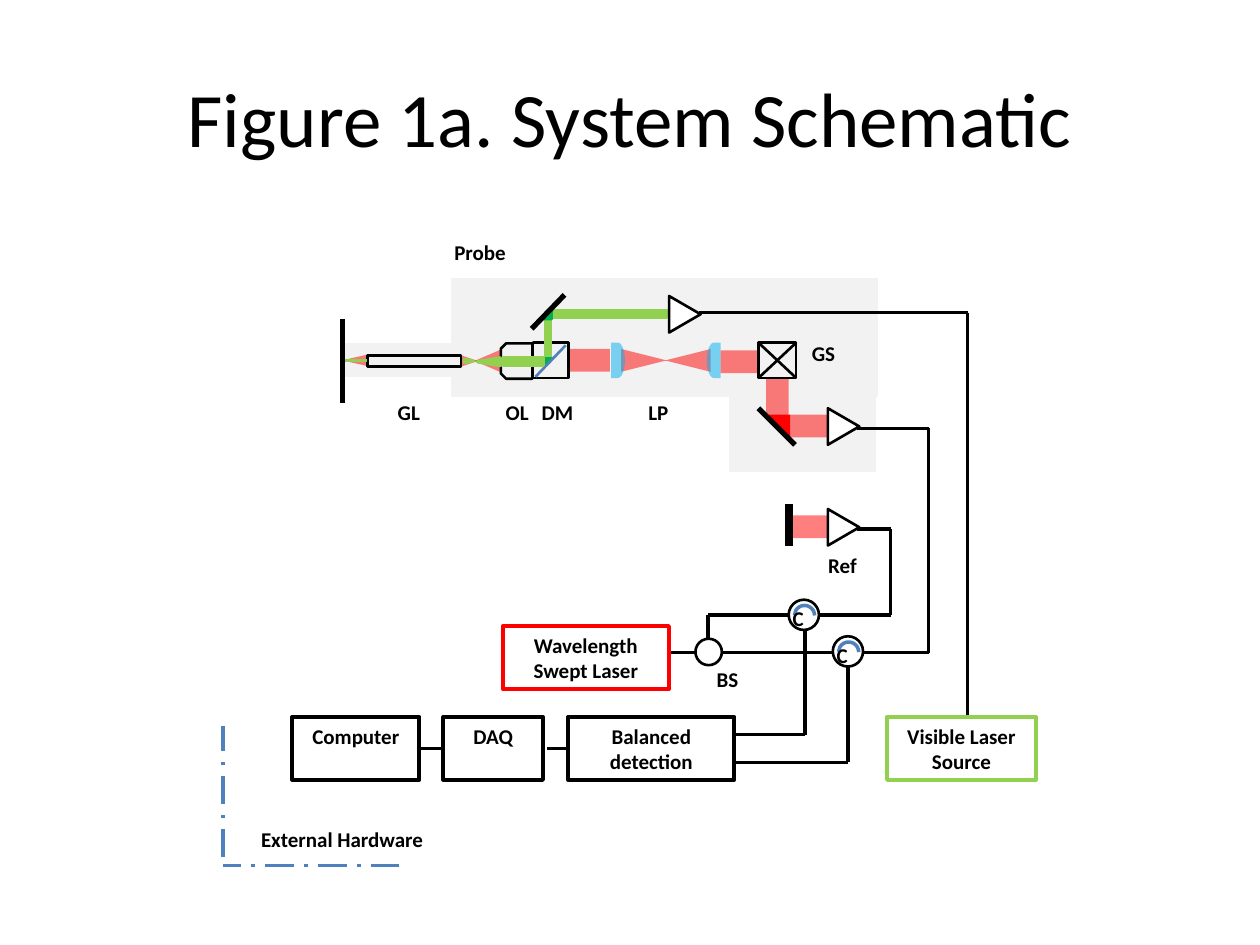
from lxml.etree import SubElement
from pptx import Presentation
from pptx.dml.color import RGBColor
from pptx.enum.dml import MSO_LINE
from pptx.enum.shapes import MSO_CONNECTOR, MSO_SHAPE as SHAPE
from pptx.enum.text import MSO_ANCHOR as ANCHOR, PP_ALIGN as ALIGN
from pptx.oxml.ns import qn
from pptx.util import Pt

BLACK = RGBColor(0x00, 0x00, 0x00)
WHITE = RGBColor(0xFF, 0xFF, 0xFF)
GRAY = RGBColor(0xF2, 0xF2, 0xF2)
RED = RGBColor(0xFF, 0x00, 0x00)
SKY = RGBColor(0x00, 0xB0, 0xF0)
BLUE = RGBColor(0x4F, 0x81, 0xBD)
LIME = RGBColor(0x92, 0xD0, 0x50)
GREEN = RGBColor(0x00, 0xB0, 0x50)


def add_part(slide, kind, box, fill=None, line=None, width=1.5, rot=0, flip="", alpha=None):
    """Add a preset shape; box is left, top, width, height and flip holds h and/or v."""
    sp = slide.shapes.add_shape(kind, *map(Pt, box))
    sp.shadow.inherit = False
    sp.rotation = rot
    for axis in flip:
        sp._element.spPr.find(qn("a:xfrm")).set("flip" + axis.upper(), "1")
    if fill is None:
        sp.fill.background()
    else:
        sp.fill.solid()
        sp.fill.fore_color.rgb = fill
    if alpha:
        color = sp._element.spPr.find(qn("a:solidFill"))[0]
        SubElement(color, qn("a:alpha")).set("val", str(alpha * 1000))
    if line is None:
        sp.line.fill.background()
    else:
        sp.line.color.rgb = line
        sp.line.width = Pt(width)
    return sp


def add_beam(slide, kind, box, rot=0, flip="", fill=RED):
    """Add a half-transparent piece of beam or lens."""
    add_part(slide, kind, box, fill, rot=rot, flip=flip, alpha=50)


def add_wire(slide, points, color=BLACK, width=2, dash=None):
    """Join the points with straight connectors and return the last one."""
    for start, end in zip(points, points[1:]):
        cxn = slide.shapes.add_connector(MSO_CONNECTOR.STRAIGHT, *map(Pt, start + end))
        SubElement(cxn._element.spPr, qn("a:effectLst"))
        cxn.line.color.rgb = color
        cxn.line.width = Pt(width)
        if dash:
            cxn.line.dash_style = dash
    return cxn


def add_text(slide, text, box, size=12, bold=True, align=ALIGN.CENTER, anchor=ANCHOR.TOP):
    """Add a text box with one paragraph per line of text."""
    sp = slide.shapes.add_textbox(*map(Pt, box))
    tf = sp.text_frame
    tf.word_wrap = True
    tf.vertical_anchor = anchor
    tf.text = text
    for p in tf.paragraphs:
        p.alignment = align
        p.font.size = Pt(size)
        p.font.bold = bold
        p.font.name = "Calibri"
        p.font.color.rgb = BLACK
    return sp


def add_unit(slide, text, box, color=BLACK):
    """Add an outlined hardware box."""
    sp = add_text(slide, text, box)
    sp.line.color.rgb = color
    sp.line.width = Pt(2.25)
    return sp


def add_collimator(slide, left, top):
    """Add a white triangle pointing right."""
    add_part(slide, SHAPE.ISOSCELES_TRIANGLE, (left, top, 20.9, 18), WHITE, BLACK, rot=90)


def add_circulator(slide, left, top):
    """Add a ring with an arc and the letter C."""
    add_part(slide, SHAPE.OVAL, (left, top, 17.3, 17.3), line=BLACK)
    arc = add_part(slide, SHAPE.ARC, (left + 3.3, top + 3.3, 11.5, 11.5), line=BLUE, width=2)
    arc.adjustments[0] = 108.653
    arc.adjustments[1] = 0
    tf = add_text(slide, "C", (left + 2.2, top, 5, 21.6), align=ALIGN.LEFT).text_frame
    tf.word_wrap = False
    tf.margin_left = tf.margin_right = 0


def draw_red_path(slide):
    """Draw the infrared beam with its lenses, scanner and mirror."""
    rect, tri = SHAPE.RECTANGLE, SHAPE.ISOSCELES_TRIANGLE
    add_beam(slide, tri, (272.2, 198.7, 13, 15.1), 270)
    add_beam(slide, tri, (265, 201.6, 6.5, 9.4), 270, "v")
    add_beam(slide, tri, (199.4, 198.7, 6.5, 14.4), 270)
    add_beam(slide, rect, (433.4, 221, 21.6, 13), 90)
    add_beam(slide, rect, (324.7, 199.4, 23.8, 13))
    add_beam(slide, tri, (386.6, 193, 13, 25.9), 270)
    add_beam(slide, tri, (361.4, 193, 13, 25.9), 270, "v")
    for left, flip in ((349.2, ""), (403.9, "h")):
        add_beam(slide, SHAPE.FLOWCHART_DELAY, (left, 195.8, 7.9, 20.2), flip=flip, fill=SKY)
    add_part(slide, SHAPE.SNIP_2_SAME_RECTANGLE, (285.1, 197.3, 20.2, 18), line=BLACK, rot=270)
    add_beam(slide, rect, (411.8, 200.2, 21.6, 13))
    add_part(slide, rect, (433.4, 195.8, 21.6, 20.2), line=BLACK)
    add_wire(slide, [(433.4, 195.8), (455, 216)], width=1.5)
    add_wire(slide, [(455, 195.8), (433.4, 216)], width=1.5)
    add_part(slide, rect, (304.6, 195.8, 20.2, 20.2), line=BLACK)
    add_part(slide, SHAPE.RIGHT_TRIANGLE, (437.8, 236.9, 13.7, 13.7), RED, flip="hv")
    add_beam(slide, rect, (451.4, 236.9, 21.6, 13))
    add_wire(slide, [(433.4, 233.3), (454.3, 254.2)], width=3)
    add_collimator(slide, 471.6, 234.7)


def draw_green_path(slide):
    """Draw the visible beam from its collimator to the sample."""
    rect, tri, corner = SHAPE.RECTANGLE, SHAPE.ISOSCELES_TRIANGLE, SHAPE.RIGHT_TRIANGLE
    add_part(slide, corner, (311, 204.5, 4.3, 4.3), GREEN, GREEN, rot=270, flip="hv")
    add_wire(slide, [(306, 215.3), (323.3, 197.3)], BLUE, 1.5)
    add_part(slide, rect, (311, 182.2, 4.3, 21.6), LIME, LIME, 0.75)
    add_part(slide, corner, (311, 177.8, 4.3, 4.3), GREEN, GREEN, 2, 270)
    add_part(slide, rect, (346.3, 146.9, 5, 64.8), LIME, LIME, 0.75, 90)
    add_part(slide, rect, (296.6, 195.1, 5, 23), LIME, LIME, 1.5, 90)
    add_part(slide, tri, (277.2, 200.2, 4.3, 13), LIME, LIME, 2, 270)
    add_part(slide, rect, (210.2, 203, 53.3, 6.5), line=BLACK)
    add_collimator(slide, 380.9, 170.6)
    add_part(slide, tri, (267.1, 203.8, 1.4, 5), LIME, LIME, 2, 270, "v")
    add_wire(slide, [(322.6, 168.5), (303.8, 187.9)], width=3)
    add_wire(slide, [(209.5, 205.9), (194.4, 205.9)], LIME)
    add_wire(slide, [(195.8, 182.2), (195.8, 230.4)], width=3)


def draw_fibres(slide):
    """Draw the reference arm, circulators, splitter and fibres."""
    add_beam(slide, SHAPE.RECTANGLE, (451.4, 294.5, 21.6, 13))
    add_collimator(slide, 471.6, 292.3)
    add_wire(slide, [(450.7, 288), (450.7, 311.8)], width=4.5)
    add_circulator(slide, 475.9, 363.6)
    add_circulator(slide, 450.7, 342.7)
    for points in (
        [(399.6, 178.6), (553, 178.6), (553, 409)],
        [(489.6, 244.8), (530.6, 244.8), (530.6, 373), (493.9, 373)],
        [(489.6, 302.4), (509, 302.4), (509, 351.4), (467.3, 351.4)],
        [(451.4, 351.4), (404.6, 351.4), (404.6, 373)],
        [(382.3, 373), (475.9, 373)],
        [(460.1, 359.3), (460.1, 419.8), (420.5, 419.8)],
        [(484.6, 380.9), (484.6, 435.6), (419.8, 435.6)],
    ):
        add_wire(slide, points)
    add_part(slide, SHAPE.OVAL, (397.4, 365, 15.1, 15.1), WHITE, BLACK)


def draw_hardware(slide):
    """Draw the hardware boxes, their links and the dashed corner."""
    add_unit(slide, "Wavelength Swept Laser", (287.3, 357.8, 95, 36), RED)
    add_unit(slide, "Visible Laser\nSource", (506.9, 409.7, 85, 36), LIME)
    detection = add_unit(slide, "Balanced\ndetection", (324.7, 409.7, 95, 36))
    daq = add_unit(slide, "DAQ", (253.4, 409.7, 56.9, 36))
    computer = add_unit(slide, "Computer", (167, 409.7, 72.7, 36))
    add_wire(slide, [(312.5, 427.7), (324.7, 427.7)]).end_connect(detection, 1)
    link = add_wire(slide, [(239.7, 427.7), (253.4, 427.7)])
    link.begin_connect(computer, 3)
    link.end_connect(daq, 1)
    for points in ([(228.2, 494.6), (127.4, 494.6)], [(127.4, 489.6), (127.4, 414.7)]):
        add_wire(slide, points, BLUE, dash=MSO_LINE.LONG_DASH_DOT)


def main():
    """Build the slide and save it."""
    prs = Presentation()
    prs.slide_width, prs.slide_height = Pt(720), Pt(540)
    slide = prs.slides.add_slide(prs.slide_layouts[6])
    for box in ((195.8, 196.6, 249.8, 18.7), (416.9, 201.6, 83.5, 67.7),
                (257.8, 159.1, 243.4, 67.7)):
        add_part(slide, SHAPE.RECTANGLE, box, GRAY, GRAY, 0.75)
    add_text(slide, "Figure 1a. System Schematic", (36, 21.6, 648, 90), 44, False,
             anchor=ANCHOR.MIDDLE)
    draw_red_path(slide)
    draw_green_path(slide)
    draw_fibres(slide)
    draw_hardware(slide)
    for text, left, top, width in (
        ("Ref", 463, 312.5, 36.7), ("Probe", 244.8, 133.2, 59),
        ("External Hardware", 133.2, 468.7, 124.6), ("OL", 277.2, 224.6, 36.7),
        ("DM", 300.2, 224.6, 36.7), ("LP", 357.8, 224.6, 36.7),
        ("GL", 215.3, 224.6, 36.7), ("GS", 452.2, 190.8, 36.7),
        ("BS", 397.4, 377.3, 36.7),
    ):
        add_text(slide, text, (left, top, width, 21.6))
    prs.save("out.pptx")


if __name__ == "__main__":
    main()
